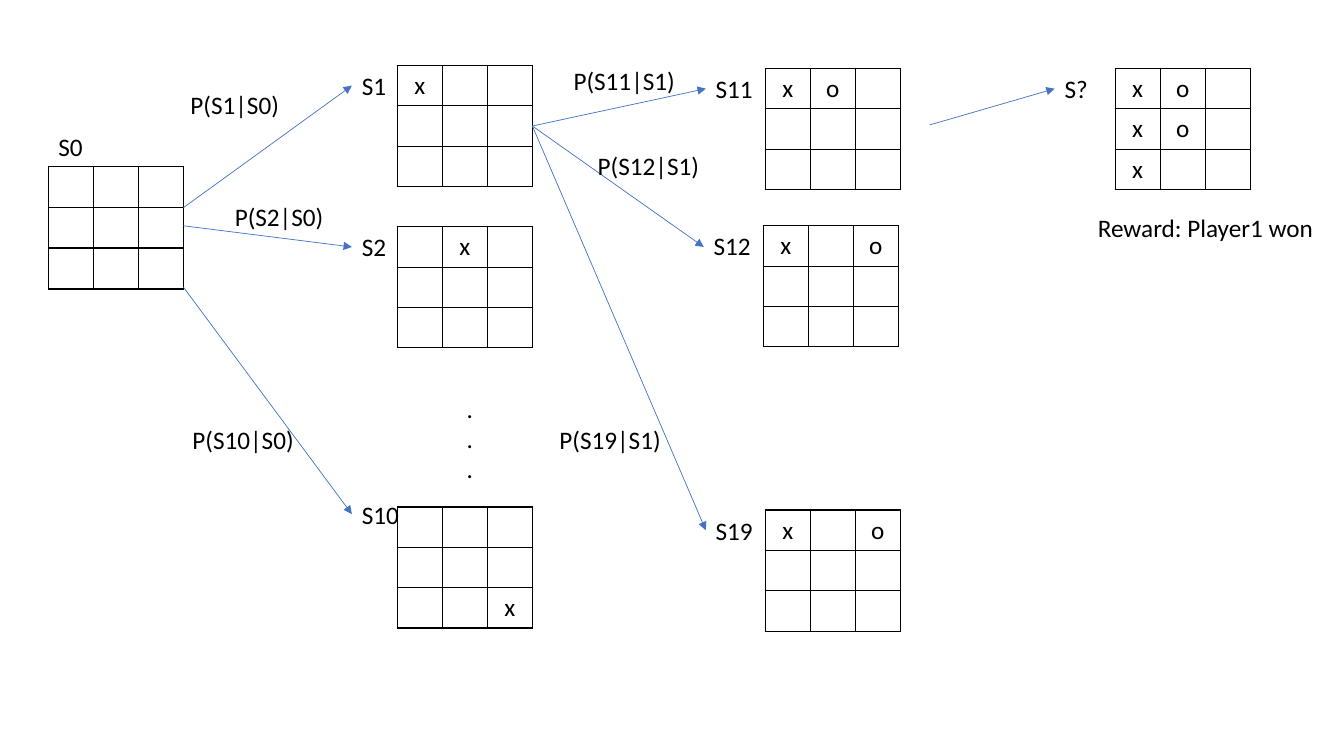
from lxml import etree
from pptx import Presentation
from pptx.dml.color import RGBColor
from pptx.enum.shapes import MSO_CONNECTOR
from pptx.enum.text import MSO_ANCHOR, MSO_AUTO_SIZE, PP_ALIGN
from pptx.oxml import parse_xml
from pptx.oxml.ns import nsdecls, qn
from pptx.util import Inches, Pt

BLACK, BLUE = "000000", "4472C4"
FONT, SIZE = "Calibri", 18
BOARD, ROW, LABEL_HEIGHT = 1.34, 0.4, 0.4
EMPTY = ("   ", "   ", "   ")


def color(hex_string):
    return RGBColor.from_string(hex_string)


def style_font(font):
    font.name, font.size = FONT, Pt(SIZE)
    font.bold = False
    font.color.rgb = color(BLACK)


def add_label(slide, left, top, width, *lines):
    height = LABEL_HEIGHT + 0.3 * (len(lines) - 1)
    frame = slide.shapes.add_textbox(
        Inches(left), Inches(top), Inches(width), Inches(height)).text_frame
    frame.word_wrap = False
    frame.auto_size = MSO_AUTO_SIZE.SHAPE_TO_FIT_TEXT
    for i, line in enumerate(lines):
        paragraph = frame.paragraphs[0] if i == 0 else frame.add_paragraph()
        run = paragraph.add_run()
        run.text = line
        style_font(run.font)


def add_arrow(slide, start, end):
    arrow = slide.shapes.add_connector(
        MSO_CONNECTOR.STRAIGHT, *(Inches(value) for value in (*start, *end)))
    arrow.line.color.rgb = color(BLUE)
    arrow.line.width = Pt(0.5)
    head = etree.SubElement(arrow.line._get_or_add_ln(), qn("a:tailEnd"))
    head.set("type", "triangle")
    etree.SubElement(arrow._element.spPr, qn("a:effectLst"))


def format_cell(cell, mark):
    # Black border on every side, no fill
    properties = cell._tc.get_or_add_tcPr()
    for side in ("lnL", "lnR", "lnT", "lnB"):
        properties.append(parse_xml(
            f'<a:{side} w="12700" {nsdecls("a")}><a:solidFill>'
            f'<a:srgbClr val="{BLACK}"/></a:solidFill></a:{side}>'))
    cell.fill.background()
    cell.vertical_anchor = MSO_ANCHOR.TOP
    paragraph = cell.text_frame.paragraphs[0]
    paragraph.alignment = PP_ALIGN.CENTER
    style_font(paragraph.font)
    if mark.strip():
        run = paragraph.add_run()
        run.text = mark
        style_font(run.font)


def add_board(slide, left, top, marks):
    table = slide.shapes.add_table(
        3, 3, Inches(left), Inches(top), Inches(BOARD), Inches(3 * ROW)).table
    table.first_row = table.horz_banding = False
    for column in table.columns:
        column.width = Inches(BOARD / 3)
    for row, row_marks in zip(table.rows, marks):
        row.height = Inches(ROW)
        for cell, mark in zip(row.cells, row_marks):
            format_cell(cell, mark)


def add_state(slide, left, top, name, marks, label_at, label_width=0.57):
    """Board at (left, top); its name is offset from the board by label_at."""
    add_board(slide, left, top, marks)
    dx, dy = label_at
    add_label(slide, left + dx, top + dy, label_width, name)


def add_transitions(slide, transitions):
    for start, end, text, label_at, width in transitions:
        add_arrow(slide, start, end)
        if text:
            add_label(slide, *label_at, width, text)


def add_start(slide, left, top):
    add_state(slide, left, top, "S0", (EMPTY), (0, -0.4), 0.45)
    edge = left + BOARD
    add_transitions(slide, [
        ((edge, top + 0.41), (3.49, 0.85), "P(S1|S0)", (1.79, 0.84), 1.09),
        ((edge, top + 0.59), (3.49, 2.45), "P(S2|S0)", (2.23, 1.95), 1.09),
        ((edge, top + 1.2), (3.49, 5.1), "P(S10|S0)", (1.81, 4.16), 1.22),
    ])


def add_first_moves(slide, left, top):
    add_state(slide, left, top, "S1", ("x  ", *EMPTY[1:]), (-0.45, 0), 0.45)
    add_state(slide, left, top + 1.6, "S2", (" x ", *EMPTY[1:]),
              (-0.45, 0), 0.45)
    add_label(slide, left + 0.59, top + 3.2, 0.27, ".", ".", ".")
    add_state(slide, left, top + 4.38, "S10", (*EMPTY[1:], "  x"),
              (-0.45, -0.13))
    start = (left + BOARD, top + 0.6)
    add_transitions(slide, [
        (start, (7, 0.88), "P(S11|S1)", (5.59, 0.6), 1.22),
        (start, (6.98, 2.45), "P(S12|S1)", (5.83, 1.44), 1.22),
        (start, (7, 5.26), "P(S19|S1)", (5.45, 4.16), 1.22),
    ])


def add_replies(slide, left, top):
    for name, dx, dy, first_row in (("S11", 0, 0, "xo "),
                                    ("S12", -0.02, 1.56, "x o"),
                                    ("S19", 0, 4.38, "x o")):
        add_state(slide, left + dx, top + dy, name,
                  (first_row, *EMPTY[1:]), (-0.59, 0))


def add_final(slide, left, top):
    add_transitions(slide, [((9.22, 1.24), (left - 0.6, top + 0.2),
                             None, None, None)])
    add_state(slide, left, top, "S?", ("xo ", "xo ", "x  "), (-0.6, 0), 0.44)
    add_label(slide, left - 0.27, top + 1.38, 2.36, "Reward: Player1 won")


presentation = Presentation()
presentation.slide_width = Inches(13.33)
presentation.slide_height = Inches(7.5)
game_tree = presentation.slides.add_slide(presentation.slide_layouts[6])

# Columns of the game tree, left to right
add_start(game_tree, 0.48, 1.65)
add_first_moves(game_tree, 3.94, 0.65)
add_replies(game_tree, 7.59, 0.68)
add_final(game_tree, 11.06, 0.68)

presentation.save("out.pptx")
